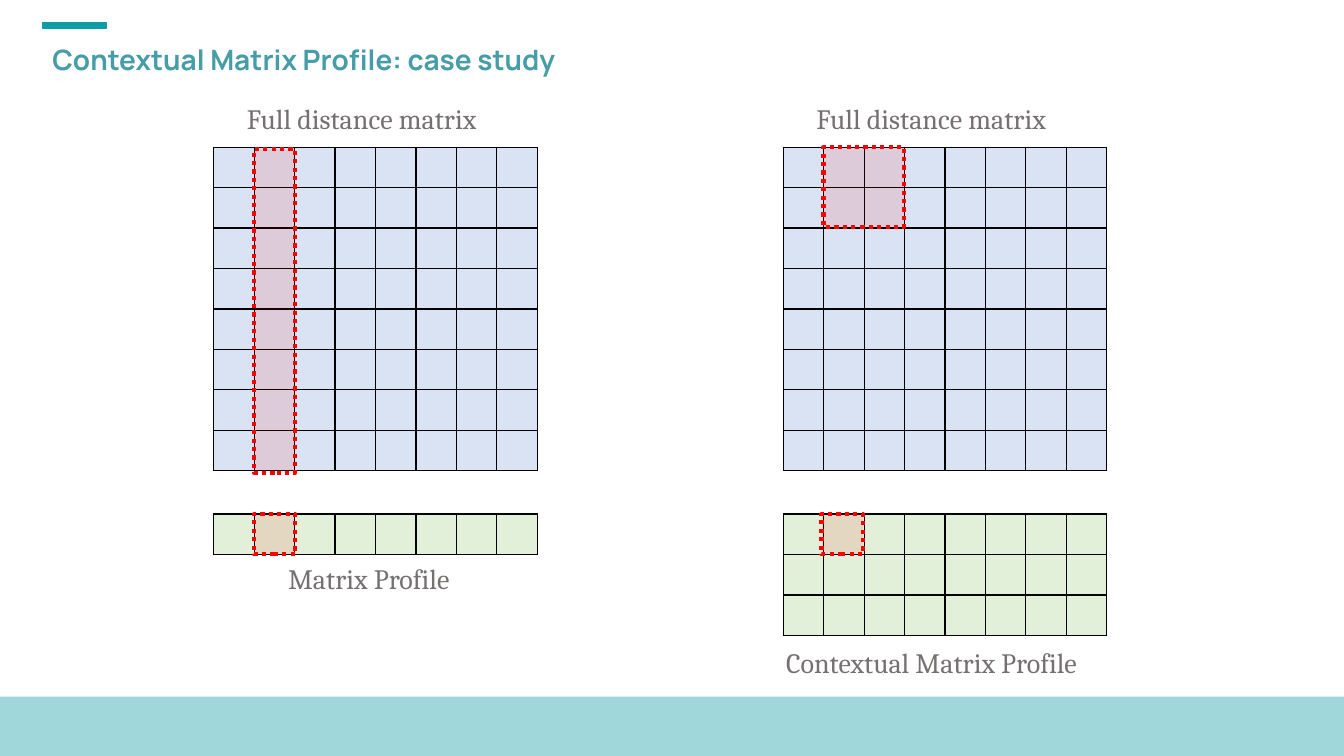
"""Build the slide comparing the matrix profile with the contextual matrix profile."""
import lxml.etree
import pptx
import pptx.dml.color
import pptx.enum.dml
import pptx.enum.shapes
import pptx.enum.text
import pptx.oxml
import pptx.oxml.ns
import pptx.util

RGB = pptx.dml.color.RGBColor
TEAL = RGB(0x0F, 0x9C, 0xA7)
TITLE_TEAL = RGB(0x46, 0x9D, 0xA8)
GREY = RGB(0x76, 0x71, 0x71)
RED = RGB(0xFF, 0x00, 0x00)
BLUE = RGB(0xDA, 0xE3, 0xF3)
GREEN = RGB(0xE2, 0xF0, 0xD9)
PX = pptx.util.Inches(1) // 100
COLUMNS = 8
GRID_WIDTH = 321
CELL = GRID_WIDTH * PX // COLUMNS
BORDER = (
    '<a:{side} xmlns:a="http://schemas.openxmlformats.org/drawingml/2006/main" w="12700">'
    '<a:solidFill><a:srgbClr val="000000"/></a:solidFill><a:prstDash val="solid"/></a:{side}>'
)

deck = pptx.Presentation()
deck.slide_width = pptx.util.Inches(13.333)
deck.slide_height = pptx.util.Inches(7.5)
page = deck.slides.add_slide(deck.slide_layouts[6])


def add_rectangle(place, color, opacity=100):
    box = page.shapes.add_shape(
        pptx.enum.shapes.MSO_SHAPE.RECTANGLE, *[length * PX for length in place])
    box.shadow.inherit = False
    box.fill.solid()
    box.fill.fore_color.rgb = color
    if opacity < 100:
        tint = box.fill._xPr.find(".//" + pptx.oxml.ns.qn("a:srgbClr"))
        lxml.etree.SubElement(tint, pptx.oxml.ns.qn("a:alpha"), val=str(opacity * 1000))
    return box


def add_text(place, words, wrap, font_values):
    box = page.shapes.add_textbox(*[length * PX for length in place])
    box.text_frame.word_wrap = wrap
    para = box.text_frame.paragraphs[0]
    span = para.add_run()
    span.text = words
    for name, value in font_values.items():
        if name == "color":
            span.font.color.rgb = value
        else:
            setattr(span.font, name, value)
    return box


accent = add_rectangle((42, 23, 64, 5), TEAL)
accent.line.color.rgb = TEAL
accent.line.width = pptx.util.Pt(1)
footer = add_rectangle((0, 691, 1333, 59), TEAL, 40)
footer.width = deck.slide_width
footer.line.fill.background()

grids = [
    (212, 146, 8, BLUE),
    (212, 510, 1, GREEN),
    (777, 146, 8, BLUE),
    (777, 510, 3, GREEN),
]
for left, top, rows, color in grids:
    grid = page.shapes.add_table(
        rows, COLUMNS, left * PX, top * PX, GRID_WIDTH * PX, rows * CELL).table
    grid.first_row = False
    grid.horz_banding = False
    for column in grid.columns:
        column.width = CELL
    for row in grid.rows:
        row.height = CELL
    for cell in grid.iter_cells():
        for margin in ("margin_left", "margin_top", "margin_right", "margin_bottom"):
            setattr(cell, margin, 0)
        cell_format = cell._tc.get_or_add_tcPr()
        for side in ("lnL", "lnR", "lnT", "lnB"):
            cell_format.append(pptx.oxml.parse_xml(BORDER.format(side=side)))
        cell.fill.solid()
        cell.fill.fore_color.rgb = color

highlights = [
    (252, 148, 41, 321),
    (252, 510, 41, 40),
    (817, 146, 80, 79),
    (815, 510, 41, 40),
]
for place in highlights:
    highlight = add_rectangle(place, RED, 10)
    highlight.line.color.rgb = RED
    highlight.line.width = pptx.util.Pt(3)
    highlight.line.dash_style = pptx.enum.dml.MSO_LINE.ROUND_DOT

label_font = {"name": "Cambria", "size": pptx.util.Pt(20), "color": GREY}
labels = [
    ((235, 96, 274, 44), "Full distance matrix"),
    ((276, 552, 194, 44), "Matrix Profile"),
    ((800, 96, 274, 44), "Full distance matrix"),
    ((770, 635, 336, 44), "Contextual Matrix Profile"),
]
for place, words in labels:
    label = add_text(place, words, False, label_font)
    label.text_frame.auto_size = pptx.enum.text.MSO_AUTO_SIZE.SHAPE_TO_FIT_TEXT

title_font = {"name": "Manrope", "size": pptx.util.Pt(20), "bold": True, "color": TITLE_TEAL}
title = add_text((42, 40, 1248, 41), "Contextual Matrix Profile: case study", True, title_font)
title.text_frame.vertical_anchor = pptx.enum.text.MSO_ANCHOR.MIDDLE
title.text_frame.paragraphs[0].line_spacing = 0.9

deck.save("out.pptx")
